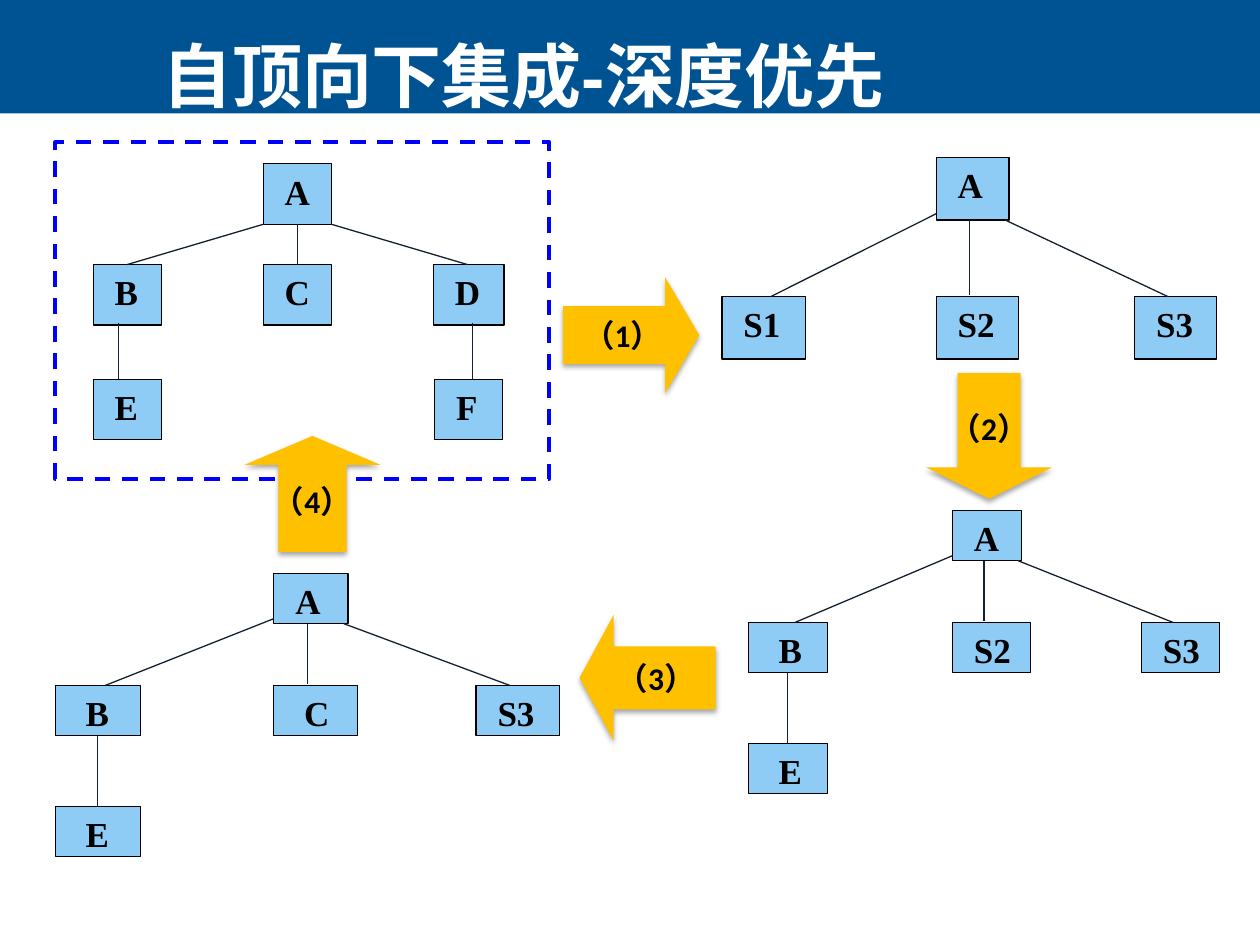
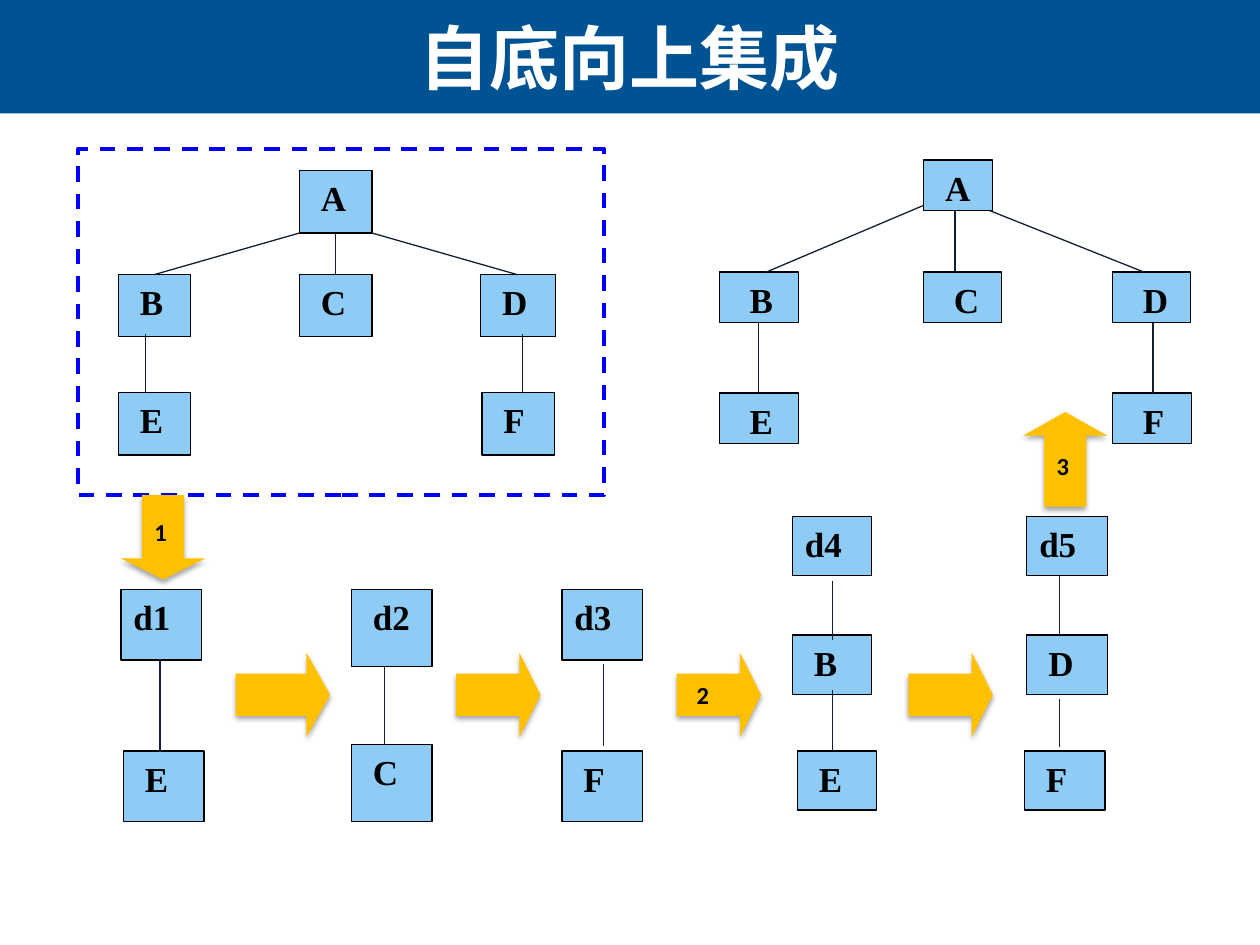
from lxml import etree
from pptx import Presentation
from pptx.dml.color import RGBColor
from pptx.enum.dml import MSO_LINE
from pptx.enum.shapes import MSO_CONNECTOR, MSO_SHAPE
from pptx.enum.text import MSO_ANCHOR, MSO_AUTO_SIZE, PP_ALIGN
from pptx.oxml.ns import qn
from pptx.util import Inches, Pt

HEX = {"band": "005392", "box": "8FCCF5", "edge": "122031", "frame": "0000FF",
       "arrow": "FFC000", "black": "000000", "white": "FFFFFF"}
RGB = {name: RGBColor.from_string(code) for name, code in HEX.items()}
SPACE = 0.07  # extra indent step of a label

# Each form: slots A to F as left, top, width, height; then the edge into each of B to F.
FRAMED = {
    "slots": [(1.65, 0.17, 0.54, 0.48), (0.3, 0.97, 0.54, 0.48), (1.65, 0.97, 0.54, 0.48),
              (3, 0.97, 0.56, 0.48), (0.3, 1.88, 0.54, 0.48), (3.01, 1.88, 0.54, 0.48)],
    "edges": [(1.65, 0.65, 0.57, 0.97), (1.92, 0.65, 1.92, 0.97), (2.19, 0.65, 3.27, 0.97),
              (0.5, 1.43, 0.5, 1.88), (3.31, 1.43, 3.31, 1.88)],
    "frame": (3.92, 2.67), "step": 1}
FAN = {
    "slots": [(1.62, 0, 0.55, 0.4), (0, 0.89, 0.63, 0.4), (1.62, 0.89, 0.62, 0.4),
              (3.12, 0.89, 0.62, 0.4), (0, 1.85, 0.63, 0.4), (3.12, 1.85, 0.63, 0.4)],
    "edges": [(1.62, 0.36, 0.37, 0.89), (1.87, 0.4, 1.87, 0.88), (2.14, 0.4, 3.37, 0.89),
              (0.31, 1.29, 0.31, 1.85), (3.44, 1.29, 3.44, 1.85)],
    "frame": None, "step": 2}

RIGHT, LEFT = MSO_SHAPE.RIGHT_ARROW, MSO_SHAPE.LEFT_ARROW
UP, DOWN = MSO_SHAPE.UP_ARROW, MSO_SHAPE.DOWN_ARROW

# Trees: form, left, top, x scale, y scale, labels of the slots.
# Stacks: boxes as text, left, top, width, height, steps; then lines as x, top, bottom.
# Arrows: shape, left, top, width, height, head, text, left inset.
PAGES = [
    {"title": "自顶向下集成-深度优先", "place": (0.75, 0.28, 6.81, 0.62),
     "trees": [(FRAMED, 0.44, 1.13, 1, 1, "A B C D E F"),
               (FAN, 5.73, 1.25, 1.05, 1.24, "A S1 S2 S3"),
               (FAN, 5.94, 4.05, 1, 1, "A B S2 S3 E"),
               (FAN, 0.44, 4.55, 1.07, 1, "A B C S3 E")],
     "stacks": [],
     "size": 18, "align": PP_ALIGN.CENTER,
     "arrows": [(RIGHT, 4.47, 2.2, 1.08, 0.92, 0.295, "（1）", 0.1),
                (DOWN, 7.35, 2.96, 1, 1, 0.25, "（2）", 0.1),
                (LEFT, 4.6, 4.88, 1.08, 1, 0.271, "（3）", 0.1),
                (UP, 1.94, 3.46, 1.08, 0.92, 0.25, "（4）", 0.1)]},
    {"title": "自底向上集成", "place": (-0.01, 0, 10.01, 0.9),
     "trees": [(FRAMED, 0.62, 1.18, 1.065, 1.03, "A B C D E F"),
               (FAN, 5.71, 1.27, 1, 1, "A B C D E F")],
     "stacks": [
         ([("d1", 0.96, 4.68, 0.64, 0.56, 0), ("E", 0.98, 5.96, 0.64, 0.56, 1)],
          [(1.27, 5.23, 5.97)]),
         ([("d2", 2.79, 4.68, 0.64, 0.61, 1), ("C", 2.79, 5.91, 0.64, 0.61, 1)],
          [(3.05, 5.29, 5.91)]),
         ([("d3", 4.46, 4.68, 0.64, 0.56, 0), ("F", 4.46, 5.96, 0.64, 0.56, 1)],
          [(4.79, 5.27, 5.92)]),
         ([("d4", 6.29, 4.1, 0.63, 0.47, 0), ("B", 6.29, 5.04, 0.63, 0.47, 1),
           ("E", 6.33, 5.96, 0.63, 0.47, 1)],
          [(6.61, 4.61, 5.08), (6.61, 5.48, 5.96)]),
         ([("d5", 8.15, 4.1, 0.64, 0.47, 0), ("D", 8.15, 5.04, 0.64, 0.47, 1),
           ("F", 8.13, 5.96, 0.64, 0.47, 1)],
          [(8.41, 4.57, 5.04), (8.41, 5.55, 5.93)])],
     "size": 14, "align": PP_ALIGN.LEFT,
     "arrows": [(RIGHT, 1.87, 5.18, 0.75, 0.67, 0.281, "", 0.1),
                (RIGHT, 3.62, 5.18, 0.67, 0.67, 0.25, "", 0.1),
                (RIGHT, 5.37, 5.18, 0.67, 0.67, 0.25, "2", 0.16),
                (RIGHT, 7.21, 5.18, 0.67, 0.67, 0.25, "", 0.1),
                (DOWN, 0.96, 3.93, 0.67, 0.67, 0.25, "1", 0.1),
                (UP, 8.12, 3.27, 0.67, 0.75, 0.281, "3", 0.1)]},
]


def add_box(shapes, text, x, y, w, h, steps):
    """Add a module box whose label is indented by a number of steps."""
    box = shapes.add_shape(MSO_SHAPE.RECTANGLE, Inches(x), Inches(y), Inches(w), Inches(h))
    box.shadow.inherit = False
    box.fill.solid()
    box.fill.fore_color.rgb = RGB["box"]
    box.line.color.rgb = RGB["black"]
    box.line.width = Pt(0.75)
    frame = box.text_frame
    frame.word_wrap = True
    frame.vertical_anchor = MSO_ANCHOR.TOP
    frame.margin_left = Inches(0.1 + SPACE * steps)
    frame.margin_right = 0
    frame.text = text
    para = frame.paragraphs[0]
    para.alignment = PP_ALIGN.LEFT
    font = para.runs[0].font
    font.name, font.size, font.bold = "Times New Roman", Pt(20), True
    font.color.rgb = RGB["black"]


def add_edge(shapes, x1, y1, x2, y2):
    edge = shapes.add_connector(MSO_CONNECTOR.STRAIGHT, Inches(x1), Inches(y1),
                                Inches(x2), Inches(y2))
    edge.line.color.rgb = RGB["edge"]
    edge.line.width = Pt(0.75)
    etree.SubElement(edge.element.spPr, qn("a:effectLst"))


deck = Presentation()
deck.slide_width, deck.slide_height = Inches(10), Inches(7.5)
layout = deck.slide_layouts[5]
band = None

for page in PAGES:
    slide = deck.slides.add_slide(layout)

    # The band is made once and placed behind everything in the layout.
    if band is None:
        band = slide.shapes.add_shape(MSO_SHAPE.RECTANGLE, 0, 0, Inches(10), Inches(0.9))
        band.shadow.inherit = False
        band.fill.solid()
        band.fill.fore_color.rgb = RGB["band"]
        band.line.fill.background()
        layout.shapes.element.insert(2, band.element)

    title = slide.shapes.title
    title.left, title.top, title.width, title.height = map(Inches, page["place"])
    frame = title.text_frame
    frame.text = page["title"]
    frame.word_wrap = True
    frame.auto_size = MSO_AUTO_SIZE.NONE
    frame.vertical_anchor = MSO_ANCHOR.MIDDLE
    para = frame.paragraphs[0]
    para.alignment = PP_ALIGN.CENTER
    font = para.runs[0].font
    font.name, font.size, font.bold = "Arial", Pt(40), True
    font.color.rgb = RGB["white"]

    for form, left, top, sx, sy, names in page["trees"]:
        shapes = slide.shapes.add_group_shape().shapes
        for i, name in enumerate(names.split()):
            x, y, w, h = form["slots"][i]
            steps = form["step"] if i and len(name) == 1 else 1
            add_box(shapes, name, left + x * sx, top + y * sy, w * sx, h * sy, steps)
            if i:
                x1, y1, x2, y2 = form["edges"][i - 1]
                add_edge(shapes, left + x1 * sx, top + y1 * sy,
                         left + x2 * sx, top + y2 * sy)
        if form["frame"]:
            w, h = form["frame"]
            border = shapes.add_shape(MSO_SHAPE.RECTANGLE, Inches(left), Inches(top),
                                      Inches(w * sx), Inches(h * sy))
            border.shadow.inherit = False
            border.fill.background()
            border.line.color.rgb = RGB["frame"]
            border.line.width = Pt(2.25)
            border.line.dash_style = MSO_LINE.DASH

    for boxes, lines in page["stacks"]:
        shapes = slide.shapes.add_group_shape().shapes
        for box in boxes:
            add_box(shapes, *box)
        for x, y1, y2 in lines:
            add_edge(shapes, x, y1, x, y2)

    for kind, x, y, w, h, head, text, inset in page["arrows"]:
        arrow = slide.shapes.add_shape(kind, Inches(x), Inches(y), Inches(w), Inches(h))
        arrow.adjustments[1] = head
        arrow.fill.solid()
        arrow.fill.fore_color.rgb = RGB["arrow"]
        arrow.line.fill.background()
        arrow.shadow.inherit = False
        glow = etree.SubElement(arrow.element.spPr.find(qn("a:effectLst")),
                                qn("a:outerShdw"), blurRad=str(Pt(3.1)),
                                dist=str(Pt(1.8)), dir="5400000", rotWithShape="0")
        tint = etree.SubElement(glow, qn("a:srgbClr"), val=HEX["black"])
        etree.SubElement(tint, qn("a:alpha"), val="35000")
        if text:
            frame = arrow.text_frame
            frame.word_wrap = False
            frame.vertical_anchor = MSO_ANCHOR.MIDDLE
            frame.margin_left = Inches(inset)
            frame.text = text
            para = frame.paragraphs[0]
            para.alignment = page["align"]
            font = para.runs[0].font
            font.name, font.size, font.bold = "Calibri", Pt(page["size"]), True
            font.color.rgb = RGB["black"]

deck.save("out.pptx")
